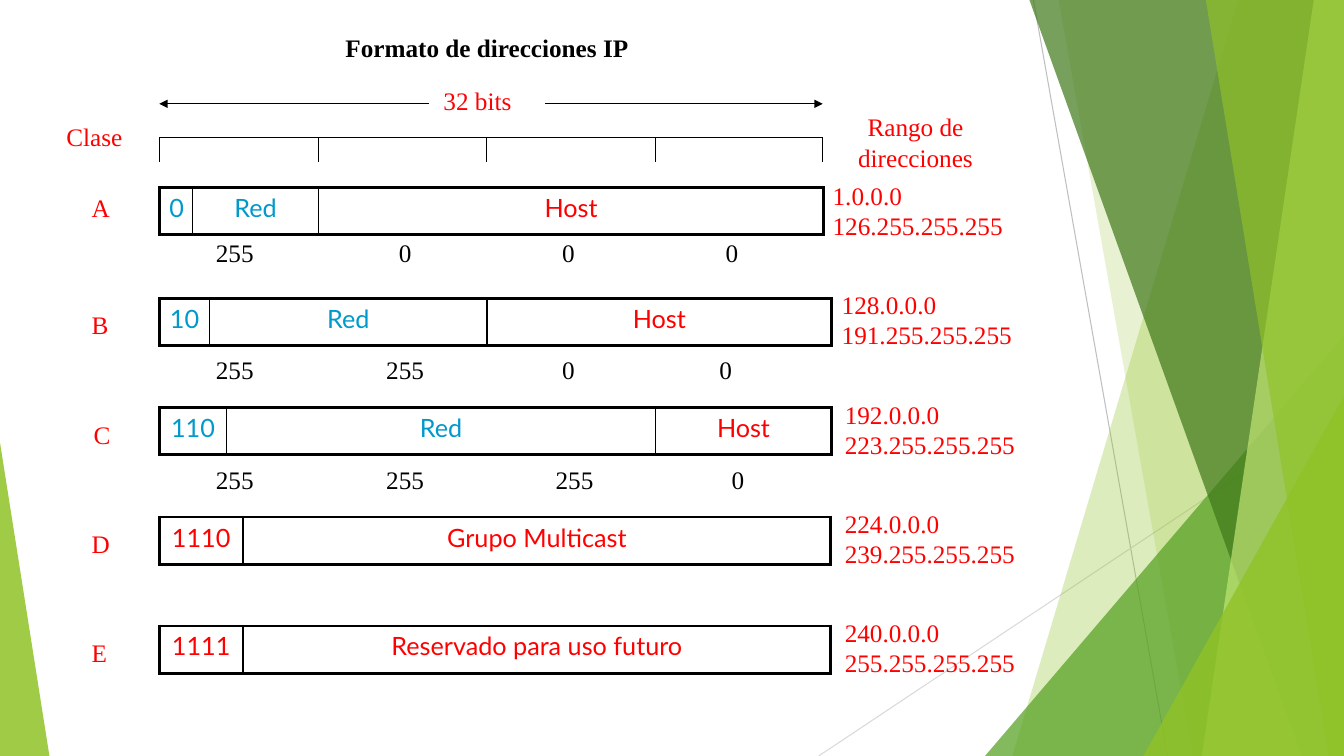
from lxml import etree
from pptx import Presentation
from pptx.dml.color import RGBColor
from pptx.enum.shapes import MSO_CONNECTOR, MSO_SHAPE
from pptx.enum.text import PP_ALIGN
from pptx.oxml.ns import qn
from pptx.util import Inches, Pt

STRAIGHT = MSO_CONNECTOR.STRAIGHT
TRIANGLE = MSO_SHAPE.ISOSCELES_TRIANGLE
LEFT, CENTER = PP_ALIGN.LEFT, PP_ALIGN.CENTER
RED, BLUE, BLACK = "FF0000", "0099CC", "000000"
SERIF, SANS = "Times New Roman", "Lato"


def paint(fill, color):
    fill.solid()
    fill.fore_color.rgb = RGBColor.from_string(color)


def write(frame, text, color, font=SERIF, align=LEFT, bold=False, wrap=True):
    """Fill a text box or table cell, one paragraph per line of text."""
    frame.word_wrap = wrap
    style = {"name": font, "size": Pt(18), "bold": bold}
    for number, line in enumerate(text.split("\n")):
        paragraph = frame.paragraphs[0] if number == 0 else frame.add_paragraph()
        paragraph.alignment = align
        run = paragraph.add_run()
        run.text = line
        for key, value in style.items():
            setattr(run.font, key, value)
        paint(run.font.fill, color)


prs = Presentation()
prs.slide_width, prs.slide_height = Inches(13.33), Inches(7.5)
slide = prs.slides.add_slide(prs.slide_layouts[6])
shapes = slide.shapes

# Lines: x1, y1, x2, y2, colour, arrowhead at the end
background_lines = [
    (10.25, 0, 11.58, 7.5, "BFBFBF", False),
    (13.33, 4.03, 8.12, 7.5, "D9D9D9", False),
]
ruler_lines = [
    (4.25, 1.03, 1.58, 1.03, BLACK, True),
    (5.41, 1.03, 8.16, 1.03, BLACK, True),
    (1.58, 1.36, 8.16, 1.36, BLACK, False),
]
for tick in (1.58, 3.16, 4.83, 6.5, 8.16):
    ruler_lines.append((tick, 1.36, tick, 1.61, BLACK, False))

for x1, y1, x2, y2, color, arrow in background_lines + ruler_lines:
    line = shapes.add_connector(STRAIGHT, Inches(x1), Inches(y1), Inches(x2), Inches(y2))
    line.line.width = Pt(0.75)
    paint(line.line.fill, color)
    if arrow:
        etree.SubElement(line.line._get_or_add_ln(), qn("a:tailEnd"), type="triangle")
    etree.SubElement(line._element.spPr, qn("a:effectLst"))

# Facets: top left x, top right x, bottom right x, bottom left x, colour, opacity;
# the triangles give left, top, width, apex position instead
facets = [
    ("band", (12.28, 13.33, 13.33, 10.04), "90C226", 30),
    ("band", (10.5, 13.33, 13.33, 11.83), "90C226", 20),
    ("triangle", (9.77, 3.33, 3.56, 1), "54A021", 72),
    ("band", (10.21, 13.33, 13.33, 12.91), "3F7819", 70),
    ("band", (13.03, 13.33, 13.33, 11.92), "C0E474", 70),
    ("band", (11.96, 13.33, 13.33, 13.18), "90C226", 65),
    ("triangle", (11.34, 3.93, 1.99, 1), "90C226", 80),
    ("triangle", (0, 4.39, 0.49, 0), "90C226", 85),
]
for kind, values, color, opacity in facets:
    if kind == "triangle":
        left, top, width, apex = values
        facet = shapes.add_shape(TRIANGLE, Inches(left), Inches(top),
                                 Inches(width), Inches(7.5 - top))
        facet.adjustments[0] = apex
    else:
        corners = [(Inches(x), Inches(y)) for x, y in zip(values, (0, 0, 7.5, 7.5))]
        outline = shapes.build_freeform(*corners[0])
        outline.add_line_segments(corners[1:], close=True)
        facet = outline.convert_to_shape()
    facet.shadow.inherit = False
    facet.line.fill.background()
    paint(facet.fill, color)
    tint = facet._element.spPr.find(qn("a:solidFill"))[0]
    etree.SubElement(tint, qn("a:alpha"), val=str(opacity * 1000))

# Address classes: table top, then width, text and colour of each field
address_classes = [
    (1.86, [(0.33, "0", BLUE), (1.25, "Red", BLUE), (5.01, "Host", RED)]),
    (2.96, [(0.5, "10", BLUE), (2.75, "Red", BLUE), (3.42, "Host", RED)]),
    (4.04, [(0.67, "110", BLUE), (4.25, "Red", BLUE), (1.75, "Host", RED)]),
    (5.13, [(0.83, "1110", RED), (5.83, "Grupo Multicast", RED)]),
    (6.21, [(0.83, "1111", RED), (5.83, "Reservado para uso futuro", RED)]),
]
for top, fields in address_classes:
    total = sum(field[0] for field in fields)
    table = shapes.add_table(1, len(fields), Inches(1.58), Inches(top),
                             Inches(total), Inches(0.47)).table
    table.first_row = table.horz_banding = False
    last = len(fields) - 1
    for column, (width, text, color) in enumerate(fields):
        table.columns[column].width = Inches(width)
        cell = table.cell(0, column)
        write(cell.text_frame, text, color, SANS, CENTER)
        cell.fill.background()
        borders = {
            "a:lnL": 2.25 if column == 0 else 1,
            "a:lnR": 2.25 if column == last else 1,
            "a:lnT": 2.25,
            "a:lnB": 2.25,
        }
        properties = cell._tc.get_or_add_tcPr()
        for position, (side, points) in enumerate(borders.items()):
            border = etree.Element(qn(side), w=str(Pt(points)))
            ink = etree.SubElement(border, qn("a:solidFill"))
            etree.SubElement(ink, qn("a:srgbClr"), val=BLACK)
            properties.insert(position, border)

# Labels: left, top, width, height, text, format
fitted = {"color": RED, "wrap": False}
labels = [
    (2.08, 0.27, 5.5, 0.4, "Formato de direcciones IP",
     {"color": BLACK, "align": CENTER, "bold": True}),
    (4.3, 0.8, 0.88, 0.4, "32 bits", fitted),
    (0.56, 1.15, 0.76, 0.4, "Clase", fitted),
    (8.19, 1.06, 1.78, 0.71, "Rango de\ndirecciones", {"color": RED, "align": CENTER}),
    (0.81, 1.86, 0.38, 0.4, "A", fitted),
    (0.81, 3.02, 0.37, 0.4, "B", fitted),
    (0.83, 4.11, 0.37, 0.4, "C", fitted),
    (0.81, 5.19, 0.38, 0.4, "D", fitted),
    (0.81, 6.27, 0.35, 0.4, "E", fitted),
    (8.16, 1.74, 1.91, 0.71, "1.0.0.0\n126.255.255.255", fitted),
    (8.25, 2.82, 1.91, 0.71, "128.0.0.0\n191.255.255.255", fitted),
    (8.28, 3.91, 1.91, 0.71, "192.0.0.0\n223.255.255.255", fitted),
    (8.28, 4.99, 1.91, 0.71, "224.0.0.0\n239.255.255.255", fitted),
    (8.28, 6.07, 1.91, 0.71, "240.0.0.0\n255.255.255.255", fitted),
]
for left, top, width, height, text, style in labels:
    label = shapes.add_textbox(Inches(left), Inches(top), Inches(width), Inches(height))
    write(label.text_frame, text, **style)

# Default masks: top, then each octet with its centre inside the text box
masks = [
    (2.31, [("255", 0.37), ("0", 2.06), ("0", 3.68), ("0", 5.3)]),
    (3.47, [("255", 0.37), ("255", 2.06), ("0", 3.68), ("0", 5.24)]),
    (4.56, [("255", 0.37), ("255", 2.06), ("255", 3.74), ("0", 5.36)]),
]
for top, octets in masks:
    mask = shapes.add_textbox(Inches(1.86), Inches(top), Inches(6.25), Inches(0.4))
    write(mask.text_frame, "".join("\t" + octet for octet, _ in octets), BLACK)
    paragraph_properties = mask.text_frame.paragraphs[0]._p.get_or_add_pPr()
    tab_stops = etree.SubElement(paragraph_properties, qn("a:tabLst"))
    for _, centre in octets:
        etree.SubElement(tab_stops, qn("a:tab"), pos=str(Inches(centre)), algn="ctr")

prs.save("out.pptx")
